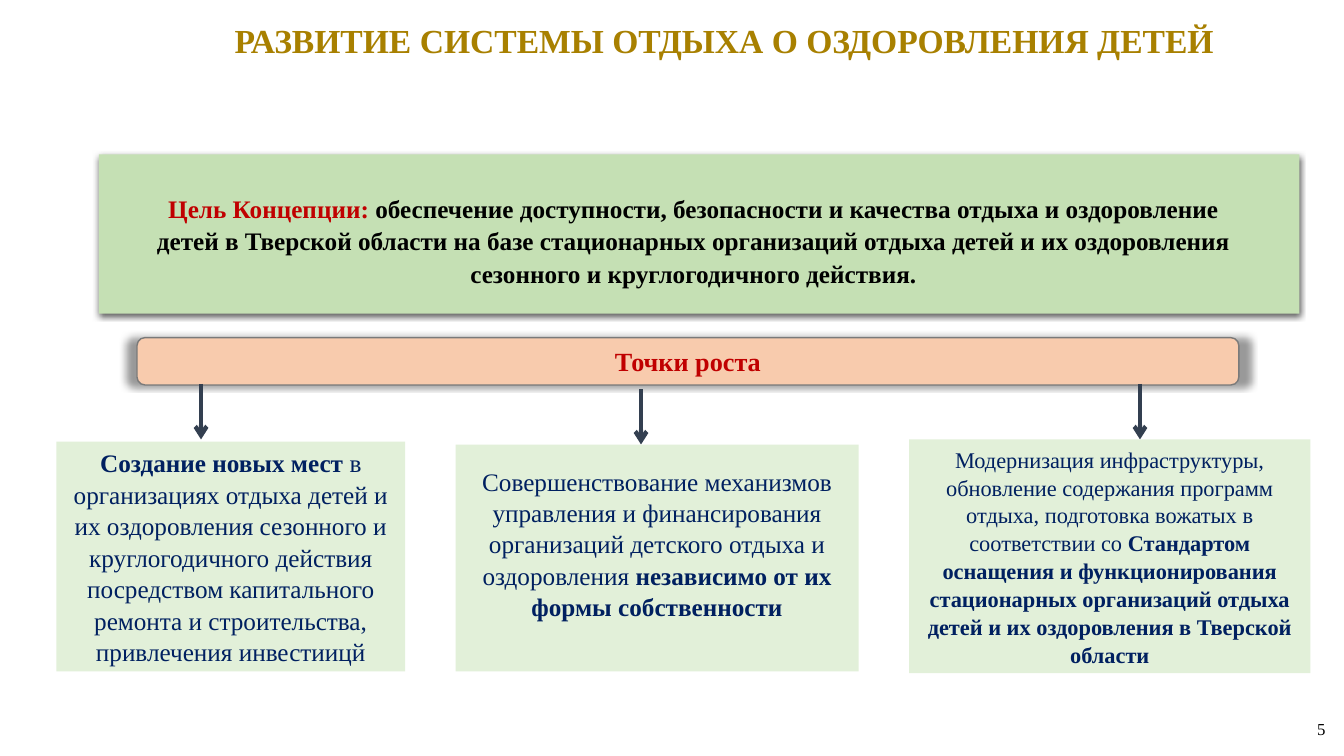
from dataclasses import dataclass

from lxml import etree
from pptx import Presentation
from pptx.dml.color import RGBColor
from pptx.enum.shapes import MSO_CONNECTOR as CONN, MSO_SHAPE as SHAPE
from pptx.enum.text import MSO_ANCHOR as ANCHOR, PP_ALIGN as ALIGN
from pptx.oxml.ns import qn
from pptx.util import Pt


@dataclass(frozen=True)
class Theme:
    font: str = "Times New Roman"
    gold: str = "A88000"
    red: str = "C00000"
    navy: str = "002060"
    black: str = "000000"
    slate: str = "333F50"
    border: str = "7A7A7A"
    goal_fill: str = "C5E0B4"
    bar_fill: str = "F8CBAD"
    card_fill: str = "E2F0D9"
    title: float = 24
    bar: float = 18.7
    body: float = 18
    small: float = 16
    number: float = 12


T = Theme()

CARDS = [
    dict(box=(40.3, 315.4, 249.1, 164.2), size=T.body, paragraphs=[
        [("Создание новых мест ", True),
         ("в организациях отдыха детей и их оздоровления сезонного и "
          "круглогодичного действия посредством капитального ремонта и "
          "строительства, привлечения инвестиицй", False)]]),
    dict(box=(325.4, 317.5, 288, 162), size=T.body, bottom=24, paragraphs=[
        [("Совершенствование механизмов управления и финансирования "
          "организаций детского отдыха и оздоровления ", False),
         ("независимо от их формы собственности", True)]]),
    dict(box=(649.4, 313.9, 286.6, 167), size=T.small, paragraphs=[
        [("Модернизация инфраструктуры, обновление содержания программ "
          "отдыха, подготовка вожатых в соответствии со ", False),
         ("Стандартом", True)],
        [("оснащения и функционирования", True)],
        [("стационарных организаций отдыха детей и их оздоровления "
          "в Тверской области", True)]]),
]
ARROWS = [(143.6, 274.3), (457.9, 277.9), (814.3, 274.3)]
ARROW_LENGTH = 39.6


def rgb(value):
    return RGBColor.from_string(value)


def points(values):
    return [Pt(v) for v in values]


def add_runs(p, runs, size, align=ALIGN.CENTER, spacing=None):
    """Fill a paragraph with (text, colour, bold) runs."""
    p.alignment = align
    if spacing:
        p.line_spacing = spacing
    for text, color, bold in runs:
        r = p.add_run()
        r.text = text
        r.font.name, r.font.size, r.font.bold = T.font, Pt(size), bold
        r.font.color.rgb = rgb(color)


def add_text(slide, box, runs, size, wrap=True, **layout):
    tf = slide.shapes.add_textbox(*points(box)).text_frame
    tf.word_wrap = wrap
    add_runs(tf.paragraphs[0], runs, size, **layout)


def add_panel(slide, kind, box, fill, line=None):
    sp = slide.shapes.add_shape(kind, *points(box))
    sp.shadow.inherit = False
    sp.fill.solid()
    sp.fill.fore_color.rgb = rgb(fill)
    if line:
        sp.line.color.rgb = rgb(line)
        sp.line.width = Pt(1)
    else:
        sp.line.fill.background()
    return sp


def add_shadow(sp, alpha, blur, distance, scale=100):
    """Cast a black shadow downwards; scale widens it sideways, in percent."""
    effects = sp._element.spPr.find(qn("a:effectLst"))
    shadow = etree.SubElement(
        effects, qn("a:outerShdw"), blurRad=str(Pt(blur)), dist=str(Pt(distance)),
        dir="5400000", sx=str(scale * 1000), algn="ctr", rotWithShape="0")
    color = etree.SubElement(shadow, qn("a:srgbClr"), val=T.black)
    etree.SubElement(color, qn("a:alpha"), val=str(alpha * 1000))


def add_goal(slide, box):
    left, top, width, height = box
    panel = add_panel(slide, SHAPE.RECTANGLE, box, T.goal_fill)
    add_shadow(panel, alpha=63, blur=4.5, distance=1.5)
    add_text(slide, (left + 20, top + 22.3, width - 48, height - 39),
             [("Цель Концепции: ", T.red, True),
              ("обеспечение доступности, безопасности и качества отдыха и "
               "оздоровление детей в Тверской области на базе стационарных "
               "организаций отдыха детей и их оздоровления сезонного и "
               "круглогодичного действия.", T.black, True)],
             T.body, spacing=1.08)


def add_growth_bar(slide, box):
    bar = add_panel(slide, SHAPE.ROUNDED_RECTANGLE, box, T.bar_fill, T.border)
    add_shadow(bar, alpha=40, blur=5, distance=0, scale=102)
    tf = bar.text_frame
    tf.word_wrap = True
    tf.vertical_anchor = ANCHOR.MIDDLE
    add_runs(tf.paragraphs[0], [("Точки роста", T.red, True)], T.bar)


def add_arrow(slide, x, top):
    line = slide.shapes.add_connector(
        CONN.STRAIGHT, *points((x, top, x, top + ARROW_LENGTH)))
    line.line.color.rgb = rgb(T.slate)
    line.line.width = Pt(3)
    etree.SubElement(line.line._get_or_add_ln(), qn("a:tailEnd"), type="arrow")
    etree.SubElement(line._element.spPr, qn("a:effectLst"))


def add_card(slide, box, size, paragraphs, bottom=3):
    tf = add_panel(slide, SHAPE.RECTANGLE, box, T.card_fill).text_frame
    tf.word_wrap = True
    tf.vertical_anchor = ANCHOR.MIDDLE
    tf.margin_left = tf.margin_right = Pt(5.8)
    tf.margin_top, tf.margin_bottom = Pt(3), Pt(bottom)
    for i, runs in enumerate(paragraphs):
        p = tf.add_paragraph() if i else tf.paragraphs[0]
        add_runs(p, [(text, T.navy, bold) for text, bold in runs], size,
                 spacing=1.04)


def main():
    prs = Presentation()
    prs.slide_width, prs.slide_height = Pt(960), Pt(540)
    slide = prs.slides.add_slide(prs.slide_layouts[6])
    add_text(slide, (103, 10.8, 828.7, 74.9),
             [("РАЗВИТИЕ СИСТЕМЫ ОТДЫХА О ОЗДОРОВЛЕНИЯ ДЕТЕЙ", T.gold, True)],
             T.title)
    add_goal(slide, (70.6, 110.2, 857.5, 113.8))
    add_growth_bar(slide, (97.9, 241.2, 787, 33.8))
    for x, top in ARROWS:
        add_arrow(slide, x, top)
    for card in CARDS:
        add_card(slide, **card)
    add_text(slide, (933.8, 509.8, 20.9, 21.6), [("5", T.black, False)],
             T.number, wrap=False, align=ALIGN.LEFT)
    prs.save("out.pptx")


if __name__ == "__main__":
    main()
